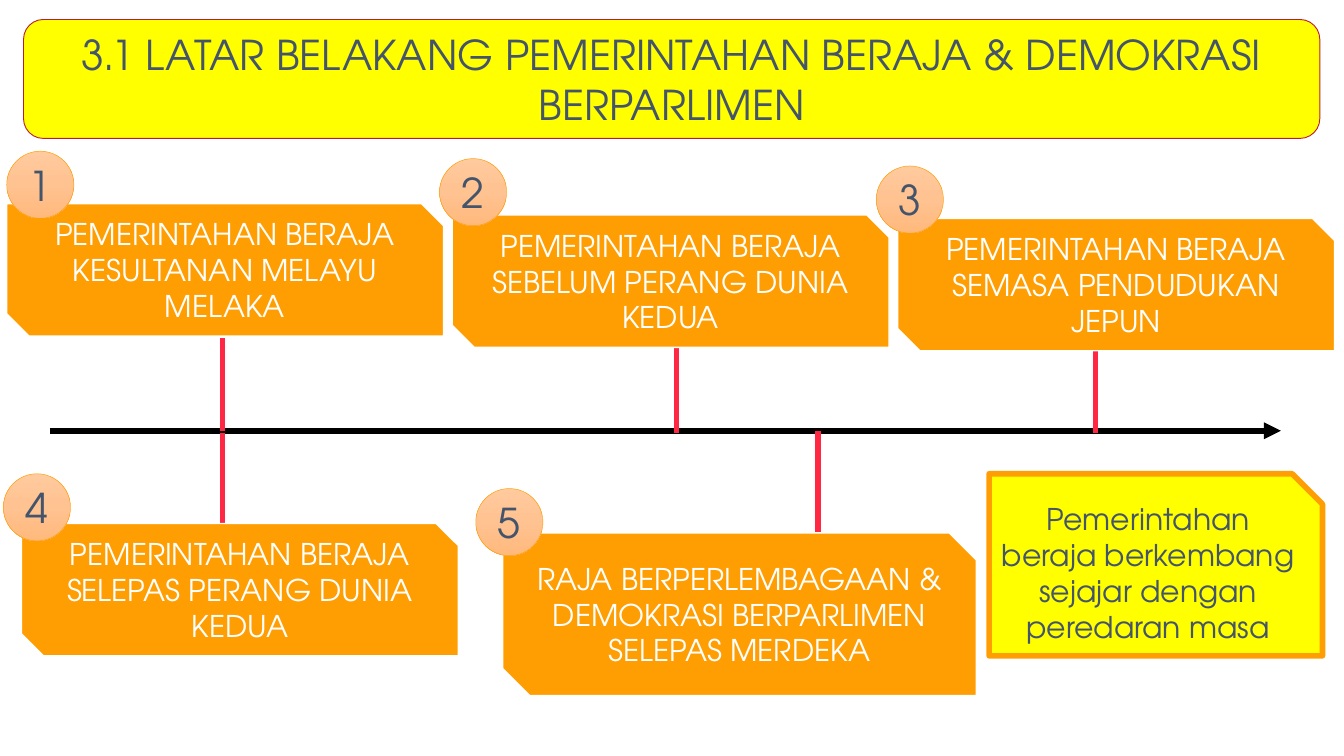
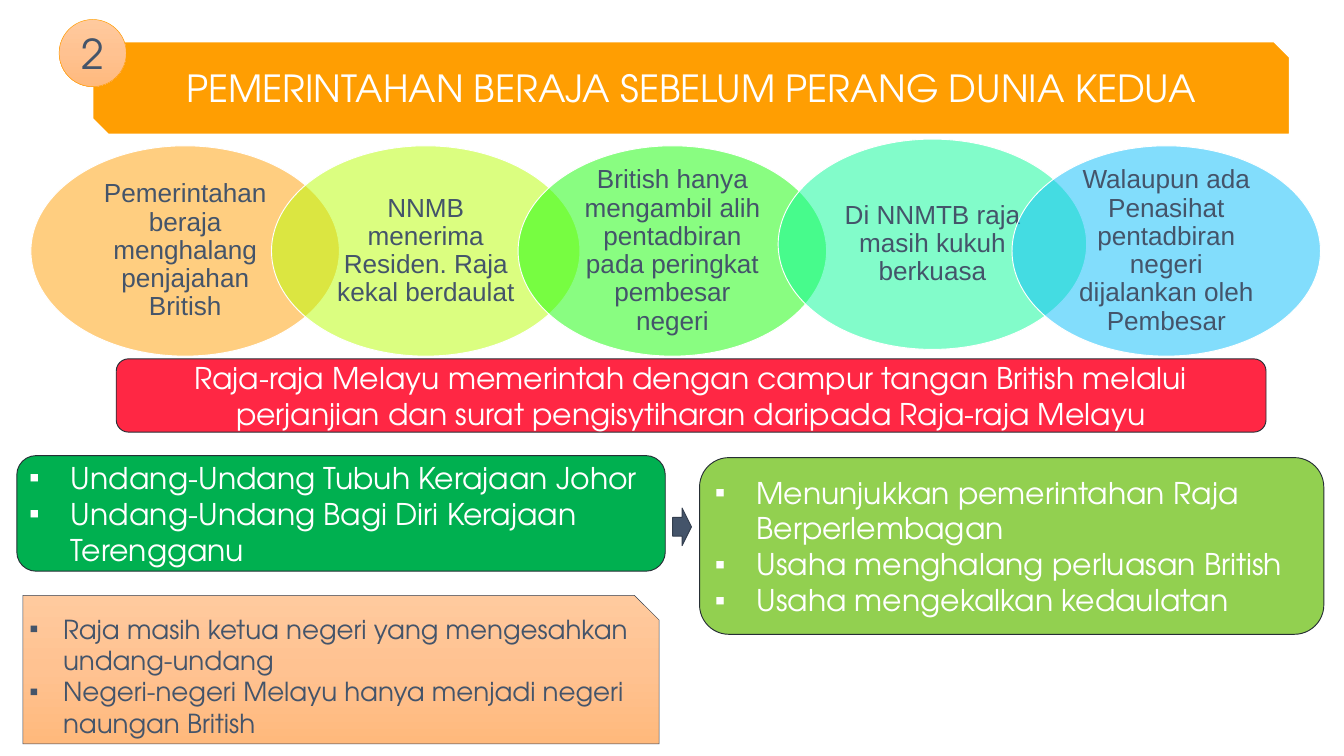
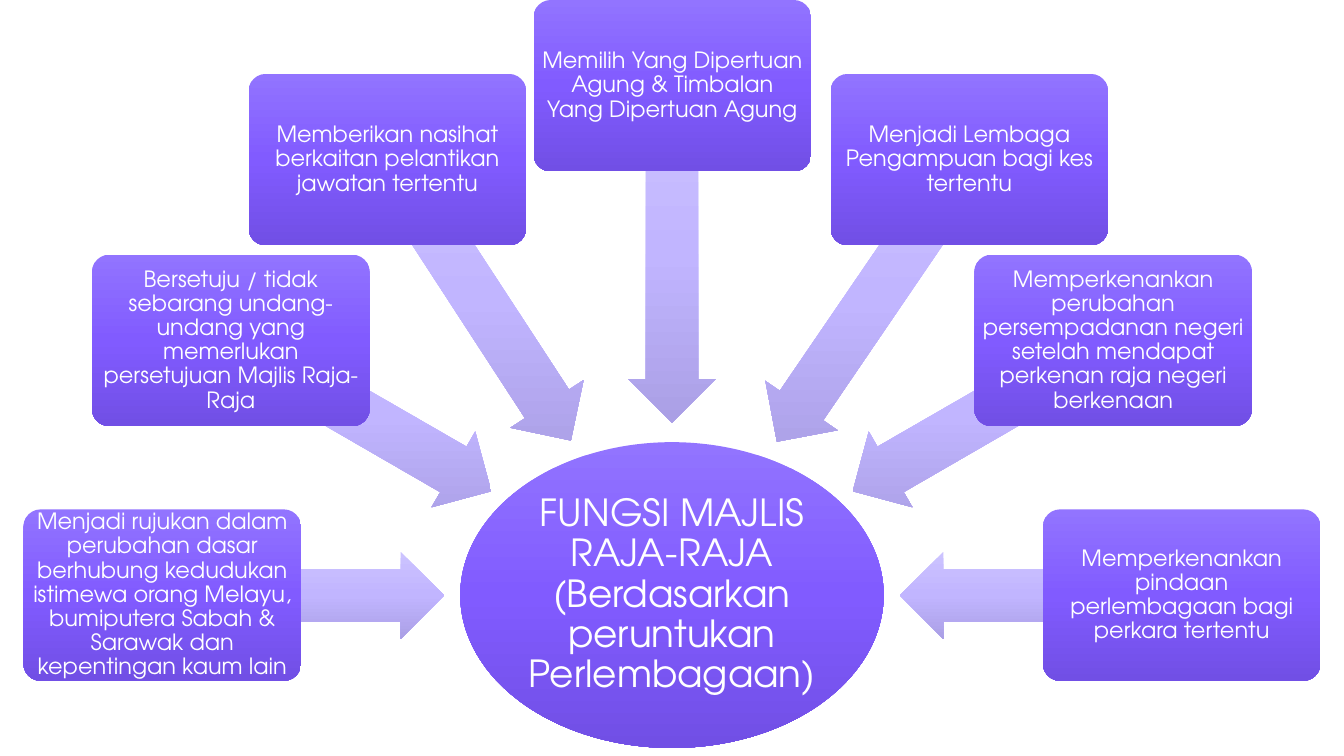
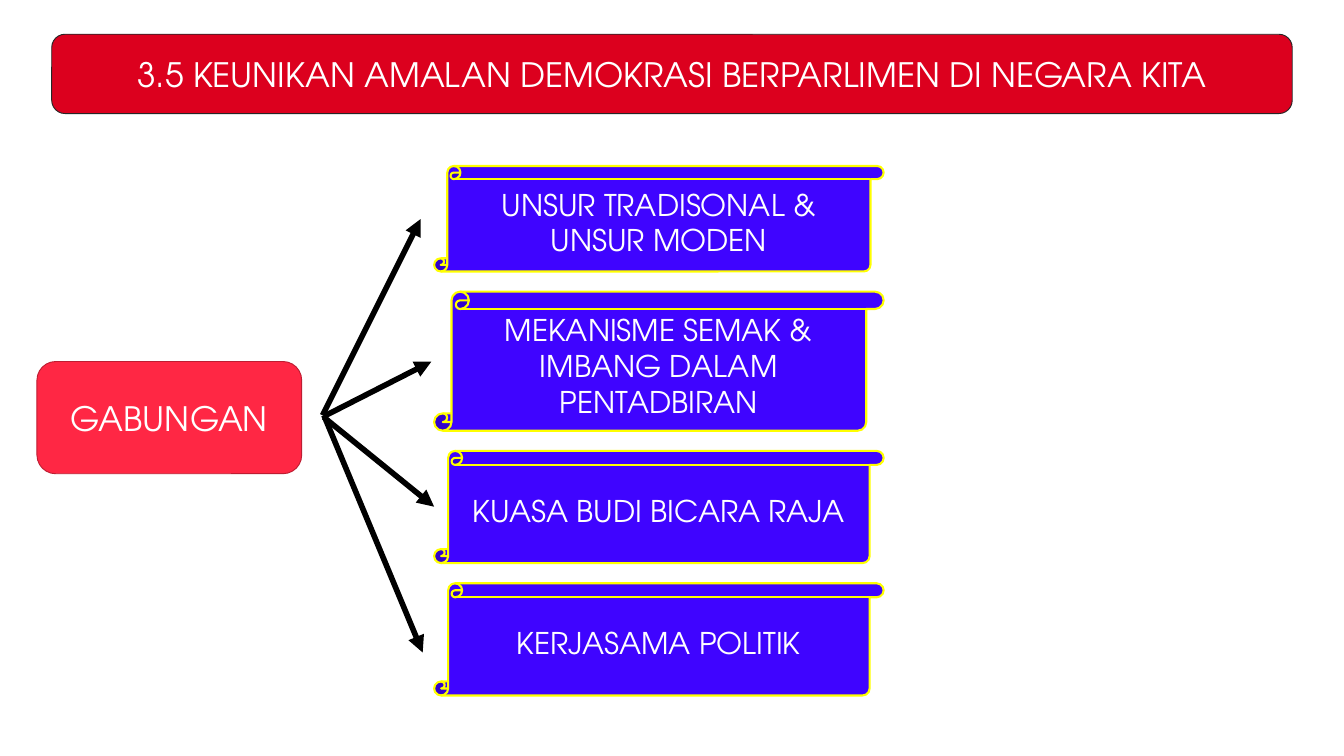
from copy import deepcopy

from lxml import etree
from pptx import Presentation
from pptx import util as u
from pptx.dml import color
from pptx.enum import shapes, text
from pptx.oxml import ns

Kind = shapes.MSO_SHAPE

FONT = "TeX Gyre Adventor"
WHITE, BLACK, YELLOW, SLATE = "FFFFFF", "000000", "FFFF00", "44546A"
ORANGE, RED, DARK_RED, BLUE = "FF9E02", "FF2744", "BD1D32", "3F04FF"
CHARCOAL = "262E35"
PEACH_FADE = ("FFCA9E", "FFC291", "FFB97C")
VIOLET_FADE = ("9274FF", "815BFF", "714FE5")
LILAC_FADE = ("CCC3FF", "C1B5FF", "AA9FE5")


def rgb(value):
    return color.RGBColor.from_string(value)


def add_xml(parent, tag, **attributes):
    return etree.SubElement(parent, ns.qn(tag), **attributes)


class Board:
    """Holds the deck, the current slide and the shared style."""

    def __init__(self):
        self.deck = Presentation()
        self.deck.slide_width = u.Inches(20)
        self.deck.slide_height = u.Inches(11.25)
        self.page = None

    def new_page(self):
        self.page = self.deck.slides.add_slide(self.deck.slide_layouts[6])

    def shape(self, kind, place, fill, line=None, width=1.0, adjust=(), turn=0, alpha=None):
        box = self.page.shapes.add_shape(kind, *(u.Inches(length) for length in place))
        box.shadow.inherit = False
        box.rotation = turn
        for index, value in enumerate(adjust):
            box.adjustments[index] = value
        if isinstance(fill, tuple):
            self.fade(box, fill)
        else:
            box.fill.solid()
            box.fill.fore_color.rgb = rgb(fill)
        if alpha is not None:
            solid = box._element.spPr.find(ns.qn("a:solidFill"))
            add_xml(solid[0], "a:alpha", val=str(alpha * 1000))
        if line:
            box.line.color.rgb = rgb(line)
            box.line.width = u.Pt(width)
        else:
            box.line.fill.background()
        return box

    def fade(self, box, colours):
        """Three-stop gradient that runs from top to bottom."""
        box.fill.gradient()
        box.fill.gradient_angle = 270
        gradient = box._element.spPr.find(ns.qn("a:gradFill"))
        gradient.set("rotWithShape", "0")
        stops = gradient.find(ns.qn("a:gsLst"))
        stops.insert(1, deepcopy(stops[0]))
        for index, stop in enumerate(box.fill.gradient_stops):
            stop.position = index / 2
            stop.color.rgb = rgb(colours[index])

    def label(self, box, lines, size, ink=WHITE, font=FONT, indent=None, inset=None, spacing=None):
        """Centred text, or a bulleted list when an indent is given."""
        frame = box.text_frame
        frame.word_wrap = True
        frame.vertical_anchor = text.MSO_ANCHOR.MIDDLE
        if inset:
            frame.margin_left = frame.margin_right = u.Inches(inset[0])
            frame.margin_top = frame.margin_bottom = u.Inches(inset[1])
        frame.text = lines if isinstance(lines, str) else "\n".join(lines)
        for para in frame.paragraphs:
            if spacing:
                para.line_spacing = spacing
            if indent:
                para.alignment = text.PP_ALIGN.LEFT
                self.bullet(para, indent)
            else:
                para.alignment = text.PP_ALIGN.CENTER
            for span in para.runs:
                span.font.size = u.Pt(size)
                span.font.name = font
                span.font.color.rgb = rgb(ink)

    def bullet(self, para, indent):
        properties = para._p.get_or_add_pPr()
        properties.set("marL", str(u.Inches(indent)))
        properties.set("indent", str(-u.Inches(indent)))
        add_xml(properties, "a:buFont", typeface="Arial")
        add_xml(properties, "a:buChar", char="▪")

    def panel(self, place, words, size, fill, line, **style):
        box = self.shape(Kind.ROUNDED_RECTANGLE, place, fill, line)
        self.label(box, words, size, **style)

    def topic(self, place, words, size=32):
        box = self.shape(Kind.SNIP_2_DIAG_RECTANGLE, place, ORANGE, WHITE, 1.5)
        self.label(box, words, size)

    def badge(self, left, top, number):
        circle = self.shape(Kind.OVAL, (left, top, 1, 1), PEACH_FADE, ORANGE, 0.5)
        self.label(circle, str(number), 44, SLATE)

    def line(self, start, end, ink, arrow=False):
        points = (u.Inches(length) for length in (*start, *end))
        link = self.page.shapes.add_connector(shapes.MSO_CONNECTOR.STRAIGHT, *points)
        link.line.color.rgb = rgb(ink)
        link.line.width = u.Pt(6)
        properties = link._element.spPr
        if arrow:
            add_xml(properties.find(ns.qn("a:ln")), "a:tailEnd", type="triangle")
        add_xml(properties, "a:effectLst")


def timeline_page(board):
    board.new_page()
    board.panel((0.35, 0.29, 19.29, 1.77),
                "3.1 LATAR BELAKANG PEMERINTAHAN BERAJA & DEMOKRASI BERPARLIMEN",
                44, YELLOW, DARK_RED, ink=SLATE)

    # Time axis with a stem to each period
    axis = 6.41
    board.line((0.75, axis), (19.06, axis), BLACK, arrow=True)
    stems = [(3.31, 5.03, axis), (3.31, 6.45, 7.83), (10.07, 4.65, 6.45),
             (16.3, 5.16, 6.45), (12.17, axis, 7.93)]
    for x, top, bottom in stems:
        board.line((x, top), (x, bottom), RED)

    # Numbered periods: box, badge corner, words
    periods = [
        ((0.1, 3.03, 6.5, 1.97), (0.1, 2.25), "PEMERINTAHAN BERAJA KESULTANAN MELAYU MELAKA"),
        ((6.73, 3.2, 6.5, 1.97), (6.54, 2.36), "PEMERINTAHAN BERAJA SEBELUM PERANG DUNIA KEDUA"),
        ((13.36, 3.25, 6.5, 1.97), (13.04, 2.47), "PEMERINTAHAN BERAJA SEMASA PENDUDUKAN JEPUN"),
        ((0.32, 7.79, 6.5, 1.97), (0.05, 7.05), "PEMERINTAHAN BERAJA SELEPAS PERANG DUNIA KEDUA"),
        ((7.48, 7.93, 7.05, 2.42), (7.08, 7.27),
         "RAJA BERPERLEMBAGAAN & DEMOKRASI BERPARLIMEN SELEPAS MERDEKA"),
    ]
    for number, (place, corner, words) in enumerate(periods, 1):
        board.topic(place, words)
        board.badge(*corner, number)

    # Closing remark
    note = board.shape(Kind.SNIP_1_RECTANGLE, (14.72, 7.05, 4.96, 2.71), YELLOW, ORANGE, 6)
    board.label(note, "Pemerintahan beraja berkembang sejajar dengan peredaran masa", 32, SLATE)


def before_war_page(board):
    board.new_page()
    board.topic((1.38, 0.62, 17.81, 1.38), "PEMERINTAHAN BERAJA SEBELUM PERANG DUNIA KEDUA", 40)
    board.badge(0.88, 0.29, 2)

    # Chain of overlapping facts
    facts = [
        (0.46, 2.17, ORANGE, "Pemerintahan beraja menghalang penjajahan British"),
        (4.04, 2.17, "B9FE03", "NNMB menerima Residen. Raja kekal berdaulat"),
        (7.71, 2.17, "15FD04",
         "British hanya mengambil alih pentadbiran pada peringkat pembesar negeri"),
        (11.58, 2.07, "06FB97", "Di NNMTB raja masih kukuh berkuasa"),
        (15.06, 2.17, "07BDFA",
         "Walaupun ada Penasihat pentadbiran negeri dijalankan oleh Pembesar"),
    ]
    for left, top, fill, words in facts:
        oval = board.shape(Kind.OVAL, (left, top, 4.59, 3.13), fill, WHITE, alpha=50)
        board.label(oval, words, 28, SLATE, "Arial", inset=(0.25, 0.04), spacing=0.9)

    board.panel((1.73, 5.34, 17.11, 1.09),
                "Raja-raja Melayu memerintah dengan campur tangan British melalui perjanjian "
                "dan surat pengisytiharan daripada Raja-raja Melayu", 32, RED, CHARCOAL)

    # Laws and what they led to
    board.panel((0.25, 6.78, 9.65, 1.72),
                ["Undang-Undang Tubuh Kerajaan Johor",
                 "Undang-Undang Bagi Diri Kerajaan Terengganu"],
                32, "00B050", CHARCOAL, indent=0.62)
    board.panel((10.41, 6.81, 9.29, 2.63),
                ["Menunjukkan pemerintahan Raja Berperlembagan",
                 "Usaha menghalang perluasan British",
                 "Usaha mengekalkan kedaulatan"],
                32, "92D050", CHARCOAL, indent=0.62)
    board.shape(Kind.RIGHT_ARROW, (10.01, 7.56, 0.28, 0.56), SLATE, "323E4E")

    status = board.shape(Kind.SNIP_1_RECTANGLE, (0.34, 8.86, 9.47, 2.21),
                         PEACH_FADE, "333F50", 0.5)
    board.label(status, ["Raja masih ketua negeri yang mengesahkan undang-undang",
                         "Negeri-negeri Melayu hanya menjadi negeri naungan British"],
                28, SLATE, indent=0.5)


def council_page(board):
    board.new_page()
    hub = board.shape(Kind.OVAL, (6.85, 6.58, 6.3, 4.55), VIOLET_FADE)
    board.label(hub, "FUNGSI MAJLIS RAJA-RAJA (Berdasarkan peruntukan Perlembagaan)",
                40, inset=(0.03, 0.03), spacing=0.9)

    # Functions around the hub: box corner, arrow left, top and length, turn, words
    functions = [
        ((0.35, 7.58), (2.42, 8.21, 4.19), 180,
         "Menjadi rujukan dalam perubahan dasar berhubung kedudukan istimewa orang Melayu, "
         "bumiputera Sabah & Sarawak dan kepentingan kaum lain"),
        ((1.37, 3.79), (3.13, 5.54, 4.48), 210,
         "Bersetuju / tidak sebarang undang-undang yang memerlukan persetujuan "
         "Majlis Raja-Raja"),
        ((3.7, 1.1), (4.63, 3.81, 5), 236.9,
         "Memberikan nasihat berkaitan pelantikan jawatan tertentu"),
        ((7.94, 0), (7.49, 3.13, 5.02), 270,
         "Memilih Yang Dipertuan Agung & Timbalan Yang Dipertuan Agung"),
        ((12.36, 1.1), (10.45, 3.82, 5.09), 304.3,
         "Menjadi Lembaga Pengampuan bagi kes tertentu"),
        ((14.5, 3.79), (12.39, 5.54, 4.48), 330,
         "Memperkenankan perubahan persempadanan negeri setelah mendapat perkenan "
         "raja negeri berkenaan"),
        ((15.52, 7.58), (13.39, 8.21, 4.19), 0,
         "Memperkenankan pindaan perlembagaan bagi perkara tertentu"),
    ]
    for corner, arrow, turn, words in functions:
        board.shape(Kind.LEFT_ARROW, (*arrow, 1.3), LILAC_FADE, adjust=(0.6, 0.5), turn=turn)
        box = board.shape(Kind.ROUNDED_RECTANGLE, (*corner, 4.13, 2.55), VIOLET_FADE,
                          adjust=(0.1,))
        board.label(box, words, 24, inset=(0.05, 0.05), spacing=0.9)


def uniqueness_page(board):
    board.new_page()
    board.panel((0.77, 0.51, 18.46, 1.18),
                "3.5 KEUNIKAN AMALAN DEMOKRASI BERPARLIMEN DI NEGARA KITA",
                36, "DC001E", "262626")
    board.panel((0.55, 5.38, 3.94, 1.67), "GABUNGAN", 36, RED, DARK_RED)

    # Scrolls stacked with equal gaps, each with its arrow
    elements = [
        (1.57, (4.8, 6.18), (6.26, 3.26), "UNSUR TRADISONAL & UNSUR MODEN"),
        (2.07, (4.85, 6.18), (6.42, 5.38), "MEKANISME SEMAK & IMBANG DALAM PENTADBIRAN"),
        (1.67, (4.82, 6.21), (6.46, 7.54), "KUASA BUDI BICARA RAJA"),
        (1.67, (4.82, 6.18), (6.29, 9.71), "KERJASAMA POLITIK"),
    ]
    top = 2.47
    for height, start, end, words in elements:
        scroll = board.shape(Kind.VERTICAL_SCROLL, (6.46, top, 6.69, height),
                             BLUE, YELLOW, 2.25)
        board.label(scroll, words, 32)
        board.line(start, end, BLACK, arrow=True)
        top += height + 0.3


def main():
    board = Board()
    timeline_page(board)
    before_war_page(board)
    council_page(board)
    uniqueness_page(board)
    board.deck.save("out.pptx")


if __name__ == "__main__":
    main()
